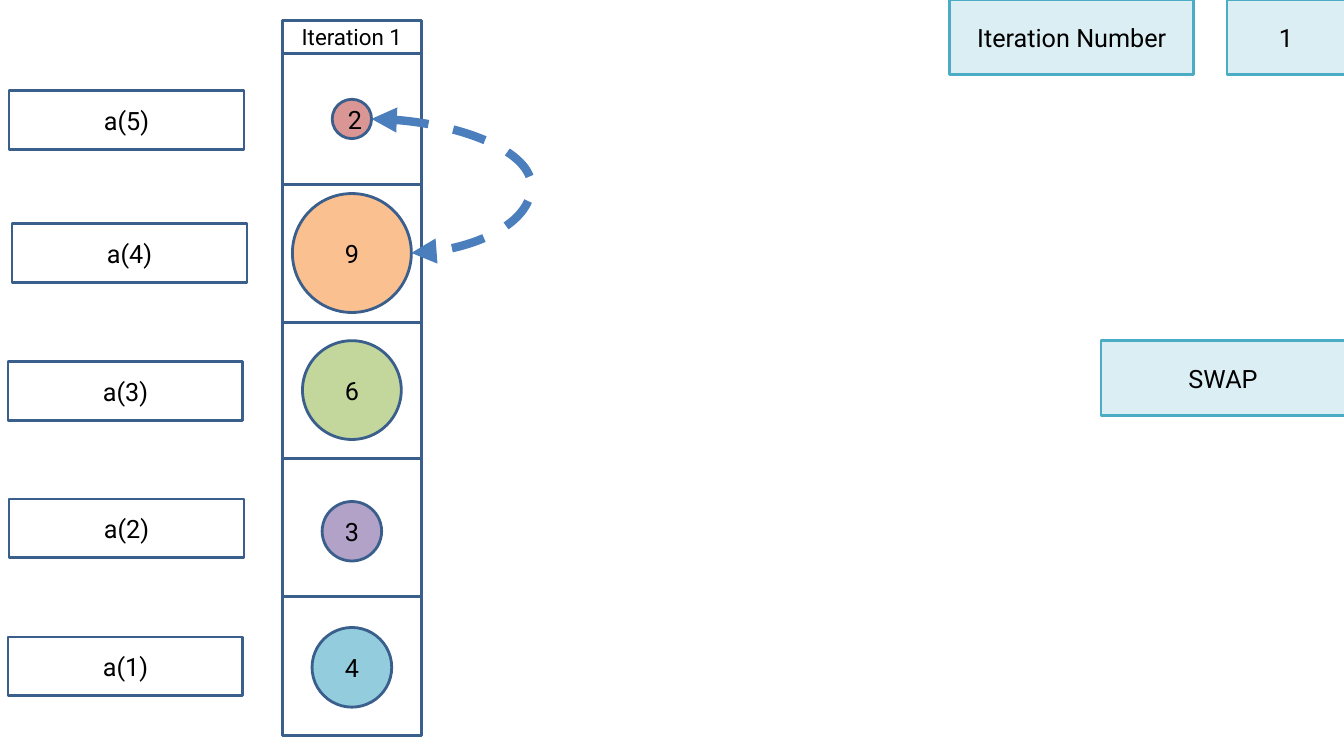
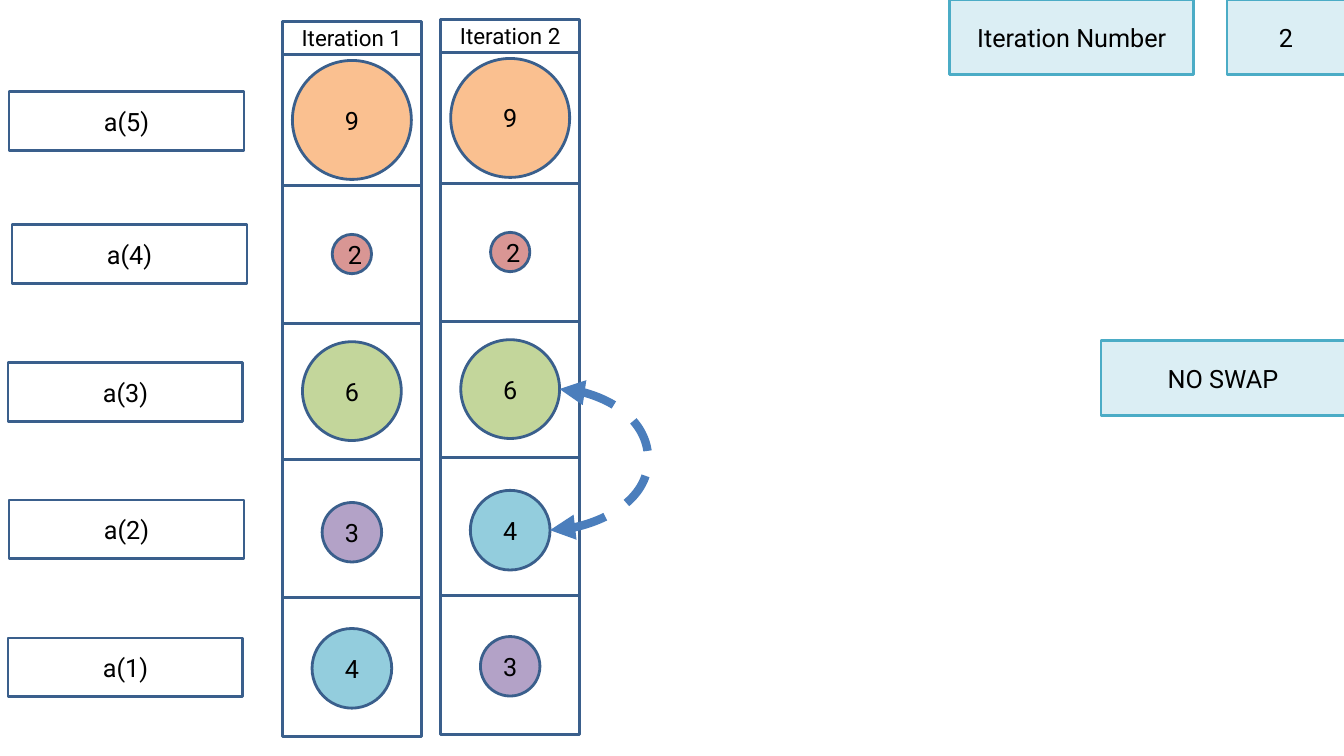
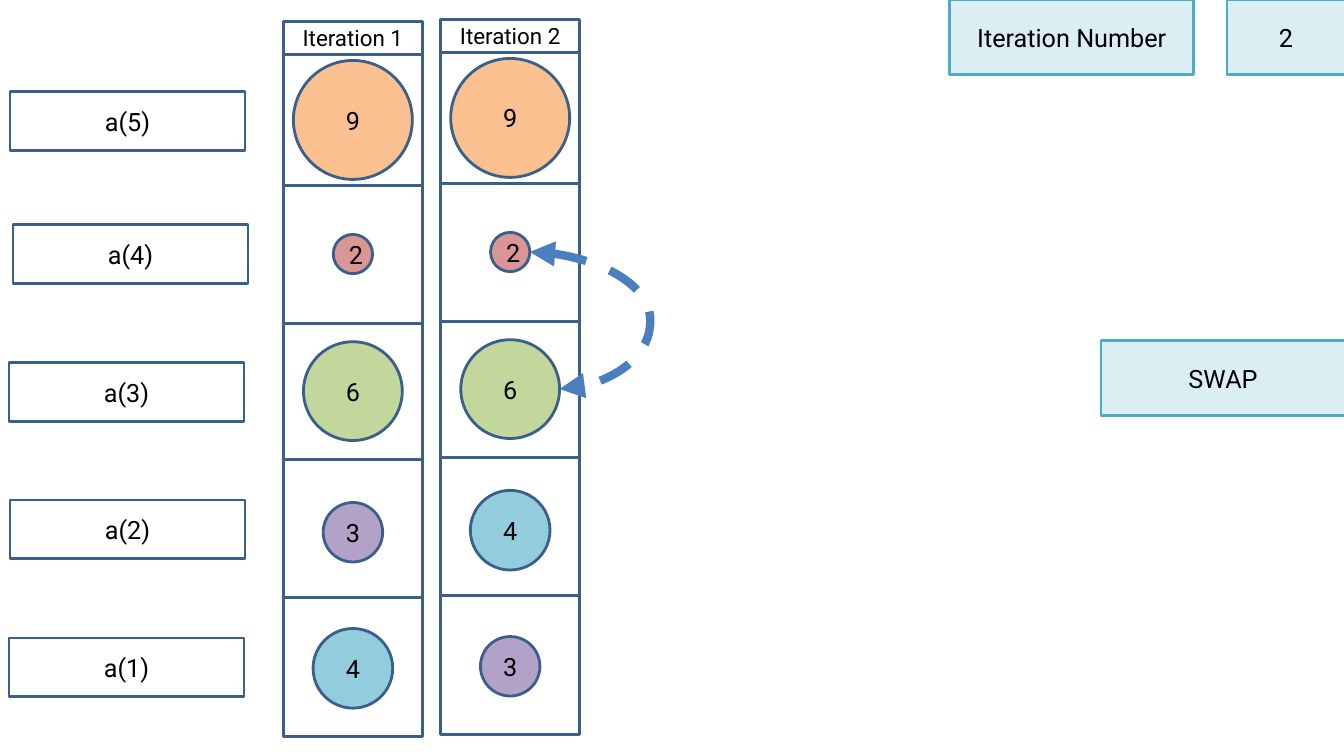
from lxml.etree import SubElement
from pptx import Presentation
from pptx.dml.color import RGBColor
from pptx.enum.dml import MSO_LINE
from pptx.enum.shapes import MSO_CONNECTOR, MSO_SHAPE
from pptx.enum.text import MSO_ANCHOR, PP_ALIGN
from pptx.oxml.ns import qn
from pptx.util import Inches, Pt

# Shared geometry in inches; vertical offsets start at the column top, a(5) first
SLOTS = (5, 4, 3, 2, 1)
CELL_SIZE = 1.38
HEADER_HEIGHT = 0.33
CELL_TOPS = (0.29, 1.63, 3.0, 4.35, 5.72)
BALL_CENTERS = (0.98, 2.31, 3.67, 5.07, 6.42)
LABEL_LEFTS = (0.09, 0.12, 0.08, 0.09, 0.08)
LABEL_TOPS = (0.7, 2.02, 3.39, 4.75, 6.12)

# Diameter and colour of the ball for each value
BALLS = {
    9: (1.18, "FAC090"),
    6: (0.98, "C3D69B"),
    4: (0.79, "93CDDD"),
    3: (0.59, "B3A2C7"),
    2: (0.39, "D99694"),
}


def color(hex_value):
    return RGBColor.from_string(hex_value)


class SortDeck:
    FONT = "Roboto"
    TEXT = "000000"
    OUTLINE = "3A5F8C"
    ARROW = "4B7EBC"
    PANEL_FILL = "DBEEF4"
    PANEL_LINE = "4BACC6"

    def __init__(self):
        self.presentation = Presentation()
        self.presentation.slide_width = Inches(13.33)
        self.presentation.slide_height = Inches(7.5)
        self.slide = None

    def new_slide(self):
        layout = self.presentation.slide_layouts[6]
        self.slide = self.presentation.slides.add_slide(layout)

    def box(self, left, top, width, height, text="", size=18, fill="FFFFFF",
            line=OUTLINE, kind=MSO_SHAPE.RECTANGLE):
        bounds = [Inches(value) for value in (left, top, width, height)]
        shape = self.slide.shapes.add_shape(kind, *bounds)
        shape.shadow.inherit = False
        shape.fill.solid()
        shape.fill.fore_color.rgb = color(fill)
        shape.line.color.rgb = color(line)
        shape.line.width = Pt(2)
        if text:
            self.caption(shape, text, size)

    def caption(self, shape, text, size):
        shape.text_frame.vertical_anchor = MSO_ANCHOR.MIDDLE
        paragraph = shape.text_frame.paragraphs[0]
        paragraph.alignment = PP_ALIGN.CENTER
        run = paragraph.add_run()
        run.text = text
        run.font.color.rgb = color(self.TEXT)
        for name, value in {"name": self.FONT, "size": Pt(size)}.items():
            setattr(run.font, name, value)

    def panel(self, left, top, width, text):
        self.box(left, top, width, 0.74, text,
                 fill=self.PANEL_FILL, line=self.PANEL_LINE)

    def ball(self, center_x, center_y, value):
        diameter, fill = BALLS[value]
        self.box(center_x - diameter / 2, center_y - diameter / 2,
                 diameter, diameter, str(value), fill=fill,
                 kind=MSO_SHAPE.OVAL)

    def column(self, left, top, title, values):
        for offset in CELL_TOPS:
            self.box(left, top + offset, CELL_SIZE, CELL_SIZE)
        for offset, value in zip(BALL_CENTERS, values):
            self.ball(left + CELL_SIZE / 2, top + offset, value)
        self.box(left, top, CELL_SIZE, HEADER_HEIGHT, title, size=16)

    def labels(self, shift, top):
        for slot, left, offset in zip(SLOTS, LABEL_LEFTS, LABEL_TOPS):
            self.box(left + shift, top + offset, 2.33, 0.58, f"a({slot})")

    def compare_arrow(self, column, upper, bulge):
        """Join the ball at index upper to the one below it, out to x = bulge."""
        left, top, values = column
        start_x, end_x = (left + CELL_SIZE / 2 + BALLS[value][0] / 2
                          for value in values[upper:upper + 2])
        start_y, end_y = (top + offset
                          for offset in BALL_CENTERS[upper:upper + 2])
        ends = [Inches(value) for value in (start_x, start_y, end_x, end_y)]
        arrow = self.slide.shapes.add_connector(MSO_CONNECTOR.CURVE, *ends)
        arrow.line.color.rgb = color(self.ARROW)
        for name, value in {"width": Pt(6), "dash_style": MSO_LINE.DASH}.items():
            setattr(arrow.line, name, value)

        # Curve depth, arrowheads and no shadow
        properties = arrow._element.spPr
        geometry = properties.find(qn("a:prstGeom"))
        guides = geometry.find(qn("a:avLst"))
        if guides is None:
            guides = SubElement(geometry, qn("a:avLst"))
        depth = round((bulge - start_x) / (end_x - start_x) * 100000)
        SubElement(guides, qn("a:gd"), name="adj1", fmla=f"val {depth}")
        outline = properties.find(qn("a:ln"))
        for end in ("a:headEnd", "a:tailEnd"):
            SubElement(outline, qn(end), type="triangle")
        SubElement(properties, qn("a:effectLst"))

    def step(self, columns, shift, upper, bulge, verdict):
        self.new_slide()
        # Sorting columns with the array labels
        self.labels(shift, columns[0][1])
        for number, (left, top, values) in enumerate(columns, start=1):
            self.column(left, top, f"Iteration {number}", values)
        self.compare_arrow(columns[-1], upper, bulge)
        # Status panels
        self.panel(9.42, 0, 2.42, "Iteration Number")
        self.panel(12.17, 0, 1.17, str(len(columns)))
        self.panel(10.92, 3.38, 2.42, verdict)


deck = SortDeck()
first_pass = (9, 2, 6, 3, 4)
second_column = (4.37, 0.19, (9, 2, 6, 4, 3))

# Iteration 1: last comparison
deck.step([(2.8, 0.2, (2, 9, 6, 3, 4))], 0, 0, 5.27, "SWAP")
# Iteration 2: a(2) against a(3), then a(3) against a(4)
deck.step([(2.8, 0.21, first_pass), second_column], 0, 2, 6.43, "NO SWAP")
deck.step([(2.81, 0.21, first_pass), second_column], 0.01, 1, 6.45, "SWAP")

deck.presentation.save("out.pptx")
